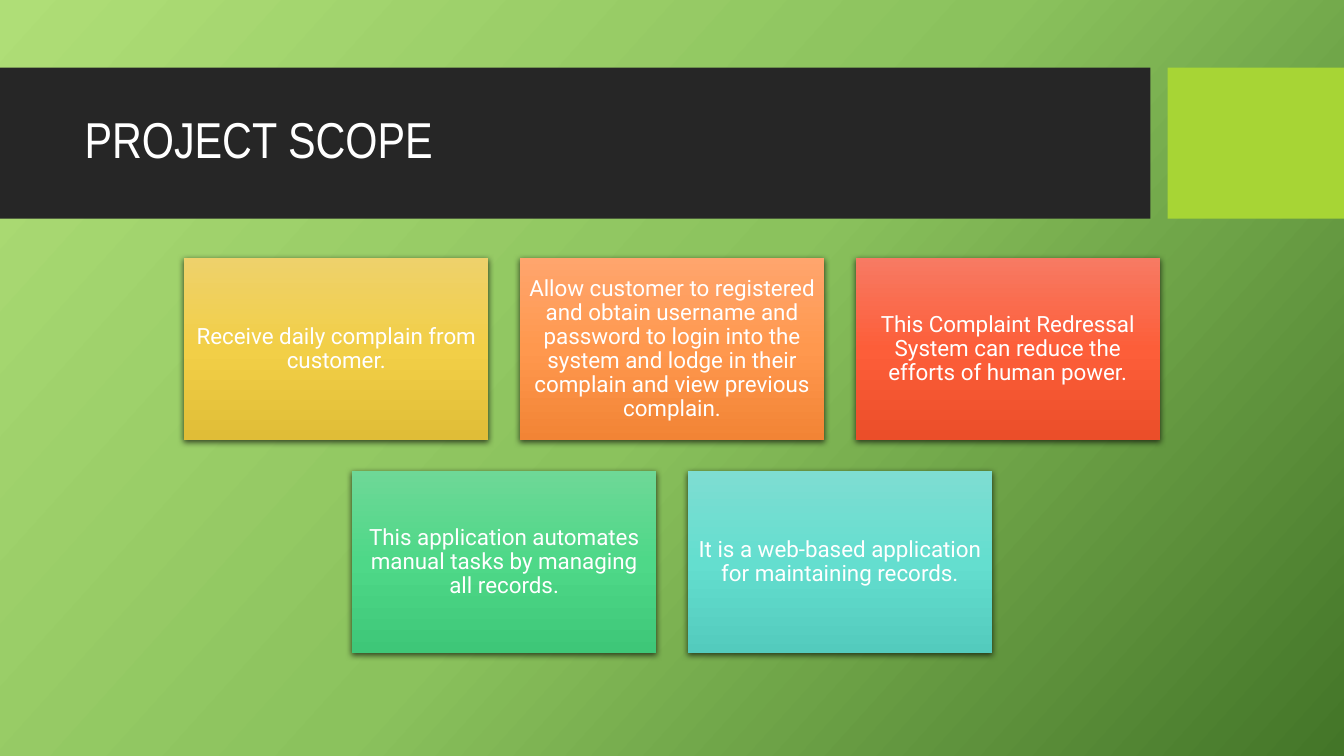
from dataclasses import dataclass

from lxml import etree
from pptx import Presentation
from pptx.dml.color import RGBColor
from pptx.dml.fill import FillFormat
from pptx.enum.shapes import MSO_SHAPE
from pptx.enum.text import MSO_ANCHOR, PP_ALIGN
from pptx.oxml.ns import qn
from pptx.shapes.autoshape import Shape
from pptx.slide import Slide
from pptx.util import Inches, Pt

RECT = MSO_SHAPE.RECTANGLE
MIDDLE = MSO_ANCHOR.MIDDLE
LEFT, CENTER = PP_ALIGN.LEFT, PP_ALIGN.CENTER

WHITE = RGBColor(0xFF, 0xFF, 0xFF)
BLACK = RGBColor(0x00, 0x00, 0x00)
CHARCOAL = RGBColor(0x26, 0x26, 0x26)
LIME = RGBColor(0xA7, 0xD5, 0x35)

Gradient = tuple[RGBColor, RGBColor, RGBColor]
BACKDROP = (RGBColor(0xAF, 0xDE, 0x77), RGBColor(0x8B, 0xC2, 0x5D), RGBColor(0x43, 0x75, 0x28))
YELLOW = (RGBColor(0xEE, 0xD1, 0x6B), RGBColor(0xF2, 0xCF, 0x47), RGBColor(0xE0, 0xBD, 0x37))
ORANGE = (RGBColor(0xFF, 0xA5, 0x6D), RGBColor(0xFF, 0x98, 0x4E), RGBColor(0xF2, 0x84, 0x35))
RED = (RGBColor(0xF7, 0x7A, 0x63), RGBColor(0xFD, 0x5E, 0x39), RGBColor(0xEB, 0x4E, 0x29))
GREEN = (RGBColor(0x6E, 0xD8, 0x97), RGBColor(0x4E, 0xD8, 0x88), RGBColor(0x3E, 0xC7, 0x78))
TEAL = (RGBColor(0x7E, 0xDD, 0xD2), RGBColor(0x64, 0xDE, 0xCF), RGBColor(0x53, 0xCB, 0xBD))

SLIDE_W, SLIDE_H = 13.33, 7.5
CARD_W, CARD_H = 3.02, 1.81
GAP_X, GAP_Y = 0.31, 0.3
CARDS_TOP = 2.56


@dataclass
class Card:
    text: str
    colors: Gradient


ROWS = [
    [
        Card("Receive daily complain from customer.", YELLOW),
        Card("Allow customer to registered and obtain username and password to login "
             "into the system and lodge in their complain and view previous complain.", ORANGE),
        Card("This Complaint Redressal System can reduce the efforts of human power.", RED),
    ],
    [
        Card("This application automates manual tasks by managing all records.", GREEN),
        Card("It is a web-based application for maintaining records.", TEAL),
    ],
]


def set_gradient(fill: FillFormat, element: etree._Element, colors: Gradient, angle: float) -> None:
    """Fill with three even stops; the angle runs clockwise."""
    fill.gradient()
    fill.gradient_angle = 360 - angle
    stops = next(element.iter(qn("a:gsLst")))
    stops.clear()
    for i, color in enumerate(colors):
        stop = etree.SubElement(stops, qn("a:gs"), pos=str(i * 50000))
        etree.SubElement(stop, qn("a:srgbClr"), val=str(color))


def add_shadow(shape: Shape) -> None:
    effects = shape._element.spPr.find(qn("a:effectLst"))
    shadow = etree.SubElement(effects, qn("a:outerShdw"), blurRad=str(Pt(4.5)),
                              dist=str(Pt(1.5)), dir="5400000", algn="ctr", rotWithShape="0")
    color = etree.SubElement(shadow, qn("a:srgbClr"), val=str(BLACK))
    etree.SubElement(color, qn("a:alpha"), val="63000")


def add_rect(s: Slide, x: float, y: float, w: float, h: float,
             color: RGBColor | None = None) -> Shape:
    shape = s.shapes.add_shape(RECT, Inches(x), Inches(y), Inches(w), Inches(h))
    shape.shadow.inherit = False
    shape.line.fill.background()
    if color is not None:
        shape.fill.solid()
        shape.fill.fore_color.rgb = color
    return shape


def write(shape: Shape, text: str, *, font: str, size: float, align: PP_ALIGN = LEFT,
          inset: float | None = None, color: RGBColor = WHITE) -> None:
    tf = shape.text_frame
    tf.word_wrap = True
    tf.vertical_anchor = MIDDLE
    if inset is not None:
        tf.margin_left = tf.margin_right = tf.margin_top = tf.margin_bottom = Inches(inset)
    p = tf.paragraphs[0]
    p.alignment = align
    p.line_spacing = 0.9
    r = p.add_run()
    r.text = text
    r.font.name = font
    r.font.size = Pt(size)
    r.font.color.rgb = color


def add_card(s: Slide, card: Card, x: float, y: float) -> None:
    shape = add_rect(s, x, y, CARD_W, CARD_H)
    set_gradient(shape.fill, shape._element, card.colors, 90)
    add_shadow(shape)
    write(shape, card.text, font="Roboto", size=16, align=CENTER, inset=0.07)


def main() -> None:
    prs = Presentation()
    prs.slide_width, prs.slide_height = Inches(SLIDE_W), Inches(SLIDE_H)
    s = prs.slides.add_slide(prs.slide_layouts[6])
    set_gradient(s.background.fill, s._element, BACKDROP, 42)

    # Title band
    add_rect(s, 0, 0.67, 11.41, 1.5, CHARCOAL)
    add_rect(s, 11.58, 0.67, 1.75, 1.5, LIME)
    title = s.shapes.add_textbox(Inches(0.74), Inches(0.82), Inches(10.51), Inches(1.18))
    write(title, "PROJECT SCOPE", font="Arial Narrow", size=36)

    # Cards, each row centred on the slide
    for i, row in enumerate(ROWS):
        row_w = len(row) * (CARD_W + GAP_X) - GAP_X
        left = (SLIDE_W - row_w) / 2
        for j, card in enumerate(row):
            add_card(s, card, left + j * (CARD_W + GAP_X), CARDS_TOP + i * (CARD_H + GAP_Y))

    prs.save("out.pptx")


if __name__ == "__main__":
    main()
